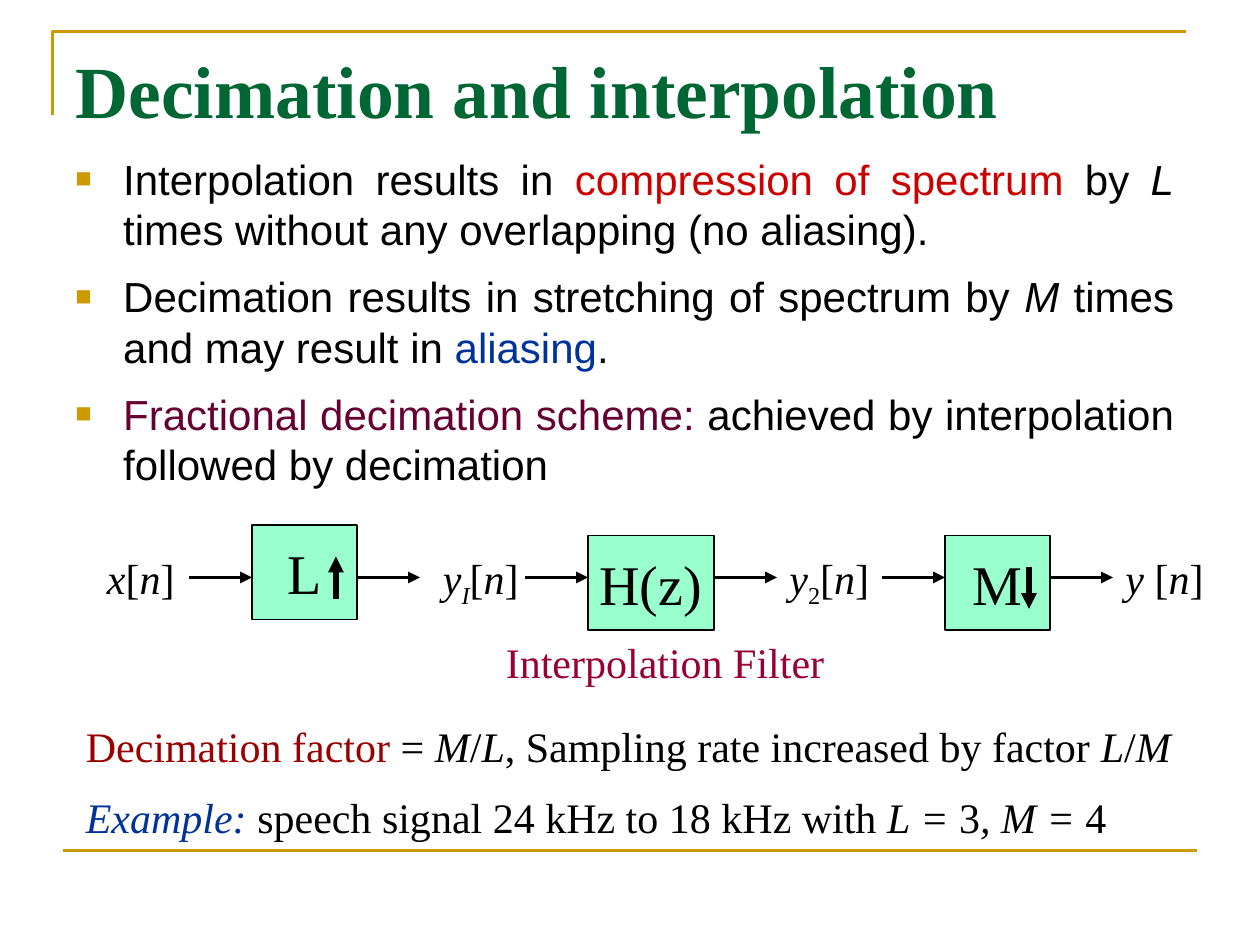
"""Build the decimation and interpolation slide."""
from typing import NamedTuple, Optional

from lxml import etree
from pptx import Presentation
from pptx.dml.color import RGBColor
from pptx.enum.shapes import MSO_CONNECTOR, MSO_SHAPE
from pptx.enum.text import MSO_ANCHOR, MSO_AUTO_SIZE, PP_ALIGN
from pptx.oxml.ns import qn
from pptx.util import Inches, Pt

LINE, RECT = MSO_CONNECTOR.STRAIGHT, MSO_SHAPE.RECTANGLE
TOP, MIDDLE = MSO_ANCHOR.TOP, MSO_ANCHOR.MIDDLE
LEFT, CENTER, JUSTIFY = PP_ALIGN.LEFT, PP_ALIGN.CENTER, PP_ALIGN.JUSTIFY
NONE, GROW = MSO_AUTO_SIZE.NONE, MSO_AUTO_SIZE.SHAPE_TO_FIT_TEXT

BLACK = RGBColor(0x00, 0x00, 0x00)
GOLD = RGBColor(0xCC, 0x99, 0x00)
GREEN = RGBColor(0x00, 0x66, 0x33)
MINT = RGBColor(0x99, 0xFF, 0xCC)
RED = RGBColor(0xCC, 0x00, 0x00)
BRICK = RGBColor(0x99, 0x00, 0x00)
WINE = RGBColor(0x99, 0x00, 0x33)
PLUM = RGBColor(0x66, 0x00, 0x33)
BLUE = RGBColor(0x00, 0x33, 0x99)
SERIF, SANS = "Times New Roman", "Arial"
CELL = Inches(1) / 12


class Run(NamedTuple):
    text: str
    color: RGBColor = BLACK
    italic: bool = False
    sub: bool = False


class Block(NamedTuple):
    name: str
    col: float
    row: float
    width: float
    flow: float
    tip: Optional[tuple] = None


class Label(NamedTuple):
    runs: list
    col: float
    row: float
    width: float


def grid(*cells: float) -> list:
    """Turn grid cells into lengths."""
    return [round(cell * CELL) for cell in cells]


def var(text: str) -> Run:
    """Return an italic run."""
    return Run(text, italic=True)


def signal(name: str, *sub: Run) -> list:
    """Return the runs of a sampled signal."""
    return [var(name), *sub, Run("["), var("n"), Run("]")]


def write(frame, *paras: list, size=24, font=SERIF, bold=False, align=LEFT,
          anchor=TOP, wrap=False, fit=NONE, before=0, after=0, bullet=False) -> None:
    """Fill a text frame with formatted paragraphs."""
    frame.word_wrap, frame.auto_size, frame.vertical_anchor = wrap, fit, anchor
    for num, runs in enumerate(paras):
        para = frame.add_paragraph() if num else frame.paragraphs[0]
        para.alignment = align
        para.space_before = Pt(before if num else 0)
        para.space_after = Pt(after)
        for item in runs:
            run = para.add_run()
            run.text = item.text
            run.font.name, run.font.size = font, Pt(size)
            run.font.bold, run.font.italic = bold, item.italic
            run.font.color.rgb = item.color
            if item.sub:
                run.font._element.set("baseline", "-25000")
        if bullet:
            mark(para)


def mark(para) -> None:
    """Give a paragraph a hanging square bullet."""
    props = para._p.get_or_add_pPr()
    props.set("marL", str(Inches(0.38)))
    props.set("indent", str(-Inches(0.38)))
    hue = etree.SubElement(props, qn("a:buClr"))
    etree.SubElement(hue, qn("a:srgbClr"), val=str(GOLD))
    etree.SubElement(props, qn("a:buSzPct"), val="65000")
    etree.SubElement(props, qn("a:buFont"), typeface=SANS)
    etree.SubElement(props, qn("a:buChar"), char="■")


def rule(slide, ends: tuple, color=BLACK, width=2.25, head=True) -> None:
    """Draw a line, with an arrowhead if asked."""
    line = slide.shapes.add_connector(LINE, *grid(*ends))
    line.line.color.rgb, line.line.width = color, Pt(width)
    if head:
        etree.SubElement(line.line._get_or_add_ln(), qn("a:tailEnd"), type="triangle")
    etree.SubElement(line._element.spPr, qn("a:effectLst"))


def corner(slide) -> None:
    """Draw the gold corner frame above the title."""
    pen = slide.shapes.build_freeform(*grid(5, 11))
    pen.add_line_segments([grid(5, 3), grid(113, 3)], close=False)
    shape = pen.convert_to_shape()
    shape.shadow.inherit = False
    shape.fill.background()
    shape.line.color.rgb, shape.line.width = GOLD, Pt(1.5)


def stage(slide, block: Block) -> None:
    """Draw a block with its arrows in and out."""
    box = slide.shapes.add_shape(RECT, *grid(block.col, block.row, block.width, 9))
    box.shadow.inherit = False
    box.fill.solid()
    box.fill.fore_color.rgb = MINT
    box.line.color.rgb, box.line.width = BLACK, Pt(0.75)
    write(box.text_frame, [Run(block.name)], size=32, align=CENTER, anchor=MIDDLE)
    for start in (block.col - 6, block.col + block.width):
        rule(slide, (start, block.flow, start + 6, block.flow))
    if block.tip:
        tail, head = block.tip
        rule(slide, (block.col + 8, tail, block.col + 8, head), width=3)


def note(slide, cells: tuple, *paras: list, **style) -> None:
    """Add a text box on the grid."""
    box = slide.shapes.add_textbox(*grid(*cells))
    write(box.text_frame, *paras, **style)


POINTS = [
    [Run("Interpolation results in "), Run("compression of spectrum", RED), Run(" by "),
     var("L"), Run(" times without any overlapping (no aliasing).")],
    [Run("Decimation results in stretching of spectrum by "), var("M"),
     Run(" times and may result in "), Run("aliasing", BLUE), Run(".")],
    [Run("Fractional decimation scheme: ", PLUM),
     Run("achieved by interpolation followed by decimation")],
]
BLOCKS = [
    Block("L", 24, 50, 10, 55, (57, 53)),
    Block("H(z)", 56, 51, 12, 55),
    Block("M", 90, 51, 10, 55, (54, 58)),
]
LABELS = [
    Label(signal("x"), 9, 52, 9),
    Label(signal("y", Run("I", italic=True, sub=True)), 41, 52, 10),
    Label(signal("y", Run("2", sub=True)), 74, 52, 10.4),
    Label(signal("y "), 106, 52, 10.4),
    Label([Run("Interpolation Filter", WINE)], 47, 60, 34),
]
FACTS = [
    [Run("Decimation factor", BRICK), Run(" = "), var("M"), Run("/"), var("L"),
     Run(", Sampling rate increased by factor "), var("L"), Run("/"), var("M")],
    [Run("Example: ", BLUE, True), Run("speech signal 24 kHz to 18 kHz with"),
     var(" L = "), Run("3"), var(", M = "), Run("4")],
]


def main() -> None:
    """Build and save the slide."""
    deck = Presentation()
    deck.slide_width, deck.slide_height = grid(120, 90)
    slide = deck.slides.add_slide(deck.slide_layouts[5])
    corner(slide)
    rule(slide, (6, 81, 114, 81), GOLD, 1.5, False)
    title = slide.shapes.title
    title.left, title.top, title.width, title.height = grid(6, 3.7, 108, 15)
    write(title.text_frame, [Run("Decimation and interpolation", GREEN)],
          size=42, bold=True, wrap=True)
    note(slide, (6, 14, 107, 66.5), *POINTS, font=SANS, align=JUSTIFY, wrap=True,
         before=4.8, after=4.8, bullet=True)
    for block in BLOCKS:
        stage(slide, block)
    for label in LABELS:
        note(slide, (label.col, label.row, label.width, 6), label.runs, fit=GROW)
    note(slide, (7, 68, 107, 13), *FACTS, fit=GROW, before=12)
    deck.save("out.pptx")


if __name__ == "__main__":
    main()
